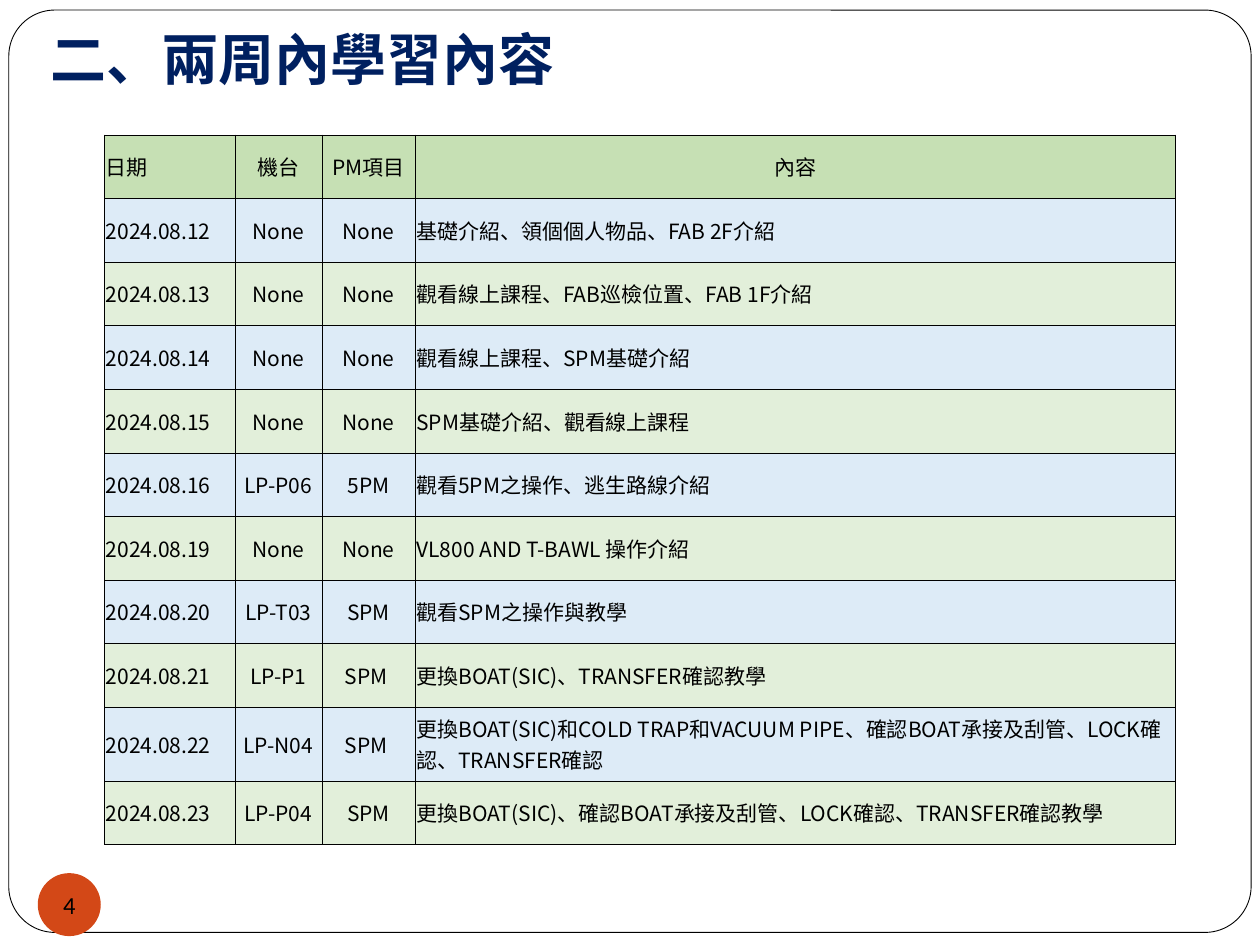
from typing import NamedTuple

from lxml.etree import SubElement
from pptx import Presentation
from pptx.dml.color import RGBColor
from pptx.enum.shapes import MSO_SHAPE
from pptx.enum.text import MSO_ANCHOR, MSO_AUTO_SIZE, PP_ALIGN
from pptx.oxml.ns import qn
from pptx.util import Pt

PX = 4572  # EMU in one px, 200 px to the inch
SANS = "Noto Sans CJK SC"
COLORS = {
    "ink": "000000",
    "paper": "FFFFFF",
    "title": "002060",
    "badge": "D34817",
    "head": "C6E0B4",
    "blue": "DDEBF7",
    "green": "E2EFDA",
}


class Box(NamedTuple):
    left: int
    top: int
    width: int
    height: int

    def emu(self) -> tuple:
        return tuple(side * PX for side in self)


class Entry(NamedTuple):
    date: str
    tool: str
    task: str
    note: str


HEAD = Entry("日期", "機台", "PM項目", "內容")
LOG = [
    Entry("2024.08.12", "None", "None", "基礎介紹、領個個人物品、FAB 2F介紹"),
    Entry("2024.08.13", "None", "None", "觀看線上課程、FAB巡檢位置、FAB 1F介紹"),
    Entry("2024.08.14", "None", "None", "觀看線上課程、SPM基礎介紹"),
    Entry("2024.08.15", "None", "None", "SPM基礎介紹、觀看線上課程"),
    Entry("2024.08.16", "LP-P06", "5PM", "觀看5PM之操作、逃生路線介紹"),
    Entry("2024.08.19", "None", "None", "VL800 AND T-BAWL 操作介紹"),
    Entry("2024.08.20", "LP-T03", "SPM", "觀看SPM之操作與教學"),
    Entry("2024.08.21", "LP-P1", "SPM ", "更換BOAT(SIC)、TRANSFER確認教學"),
    Entry("2024.08.22", "LP-N04", "SPM ",
          "更換BOAT(SIC)和COLD TRAP和VACUUM PIPE、確認BOAT承接及刮管、LOCK確認、TRANSFER確認"),
    Entry("2024.08.23", "LP-P04", "SPM",
          "更換BOAT(SIC)、確認BOAT承接及刮管、LOCK確認、TRANSFER確認教學"),
]
COLS = (207, 138, 148, 1207)
ROW, TALL = 101, 112
WIDE = "2024.08.22"  # the entry whose note takes two lines


def color(name: str) -> RGBColor:
    return RGBColor.from_string(COLORS[name])


def write(frame, text: str, size: int, ink: str = "ink", face: str = SANS,
          bold: bool = False, align=PP_ALIGN.LEFT) -> None:
    frame.text = text
    para = frame.paragraphs[0]
    para.alignment = align
    font = para.font
    font.size, font.name, font.bold = Pt(size), face, bold
    font.color.rgb = color(ink)
    for run in para.runs:
        props = run._r.get_or_add_rPr()
        SubElement(props, qn("a:ea"), typeface=face)


def add_shape(slide, kind, box: Box, fill: str):
    shape = slide.shapes.add_shape(kind, *box.emu())
    shape.shadow.inherit = False
    shape.fill.solid()
    shape.fill.fore_color.rgb = color(fill)
    shape.line.fill.background()
    return shape


def add_frame(slide) -> None:
    """Draw the rounded page border behind everything else."""
    frame = add_shape(slide, MSO_SHAPE.ROUNDED_RECTANGLE,
                      Box(14, 16, 1972, 1464), "paper")
    frame.adjustments[0] = 0.05
    frame.line.color.rgb = color("ink")
    frame.line.width = Pt(0.5)
    slide.shapes._spTree.insert(2, frame._element)


def set_title(slide, text: str) -> None:
    title = slide.shapes.title
    title.left, title.top, title.width, title.height = Box(60, 6, 1700, 160).emu()
    frame = title.text_frame
    frame.auto_size = MSO_AUTO_SIZE.NONE
    frame.vertical_anchor = MSO_ANCHOR.BOTTOM
    frame.margin_left = frame.margin_right = frame.margin_bottom = 20 * PX
    frame.margin_top = 10 * PX
    write(frame, text, 32, "title", bold=True)


def add_borders(cell) -> None:
    props = cell._tc.get_or_add_tcPr()
    for side in ("a:lnL", "a:lnR", "a:lnT", "a:lnB"):
        line = SubElement(props, qn(side), w=str(Pt(0.23)))
        fill = SubElement(line, qn("a:solidFill"))
        SubElement(fill, qn("a:srgbClr"), val=COLORS["ink"])


def fill_cell(cell, text: str, fill: str, align) -> None:
    add_borders(cell)
    cell.fill.solid()
    cell.fill.fore_color.rgb = color(fill)
    cell.vertical_anchor = MSO_ANCHOR.MIDDLE
    cell.margin_left = cell.margin_right = 2 * PX
    cell.margin_top = cell.margin_bottom = 10 * PX
    write(cell.text_frame, text, 12, align=align)


def add_log(slide, left: int, top: int) -> None:
    rows = [HEAD, *LOG]
    box = Box(left, top, sum(COLS), ROW * len(LOG) + TALL)
    table = slide.shapes.add_table(len(rows), len(COLS), *box.emu()).table
    table.first_row = table.horz_banding = False
    for col, width in zip(table.columns, COLS):
        col.width = width * PX
    for i, entry in enumerate(rows):
        table.rows[i].height = (TALL if entry.date == WIDE else ROW) * PX
        fill = "head" if i == 0 else ("green", "blue")[i % 2]
        for j, text in enumerate(entry):
            middle = j in (1, 2) or (i == 0 and j == 3)
            align = PP_ALIGN.CENTER if middle else PP_ALIGN.LEFT
            fill_cell(table.cell(i, j), text, fill, align)


def add_badge(slide, text: str) -> None:
    badge = add_shape(slide, MSO_SHAPE.OVAL, Box(60, 1386, 100, 100), "badge")
    frame = badge.text_frame
    frame.word_wrap = False
    frame.vertical_anchor = MSO_ANCHOR.MIDDLE
    frame.margin_left = frame.margin_right = 0
    frame.margin_top = frame.margin_bottom = 0
    write(frame, text, 14, face="Calibri", align=PP_ALIGN.CENTER)


def main() -> None:
    deck = Presentation()
    deck.slide_width, deck.slide_height = 2000 * PX, 1500 * PX
    slide = deck.slides.add_slide(deck.slide_layouts[5])
    add_frame(slide)
    set_title(slide, "二、兩周內學習內容")
    add_log(slide, 166, 214)
    add_badge(slide, "4")
    deck.save("out.pptx")


if __name__ == "__main__":
    main()
